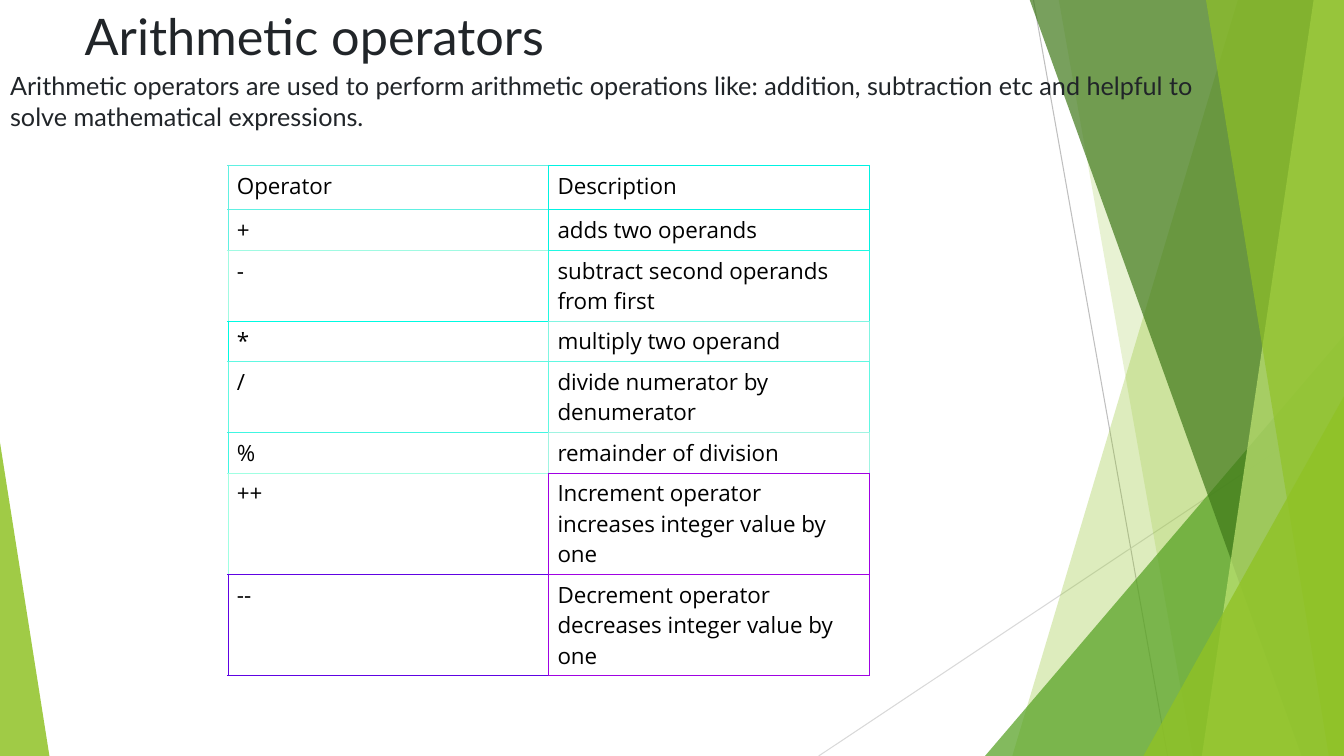
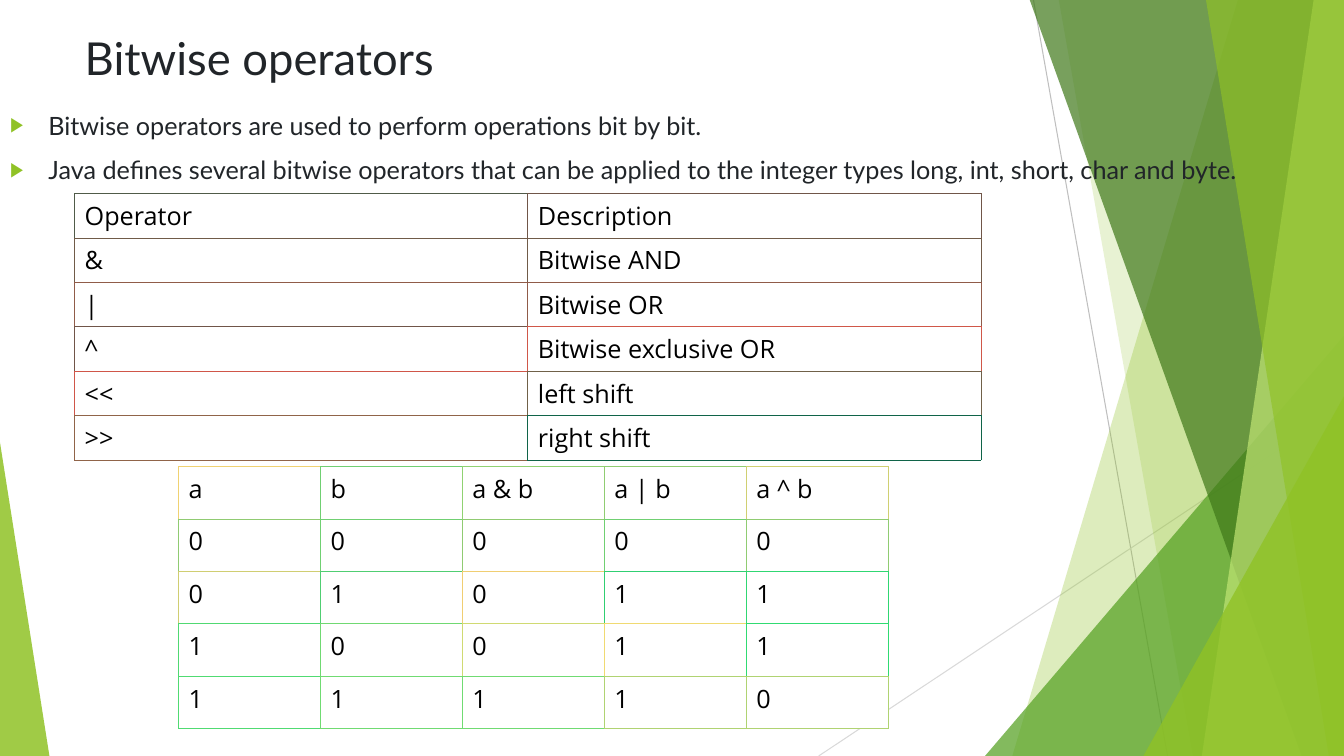
from lxml import etree
from pptx import Presentation
from pptx.dml.color import RGBColor
from pptx.enum.shapes import MSO_CONNECTOR as CONN, MSO_SHAPE as SHAPE
from pptx.enum.text import MSO_ANCHOR, MSO_AUTO_SIZE, PP_ALIGN
from pptx.oxml.ns import qn
from pptx.util import Inches, Pt

W, H = 13.33, 7.5
LIME = RGBColor(0x90, 0xC2, 0x26)
GREEN = RGBColor(0x54, 0xA0, 0x21)
FOREST = RGBColor(0x3F, 0x78, 0x19)
PALE = RGBColor(0xC0, 0xE4, 0x74)
SILVER = RGBColor(0xBF, 0xBF, 0xBF)
MIST = RGBColor(0xD9, 0xD9, 0xD9)
INK = RGBColor(0x21, 0x25, 0x29)
BLACK = RGBColor(0, 0, 0)
WHITE = RGBColor(0xFF, 0xFF, 0xFF)
TEXT_FONT, TABLE_FONT = "Lato", "Open Sans"


def sub(parent, tag, **attrs):
    el = etree.SubElement(parent, qn(tag))
    for name, value in attrs.items():
        el.set(name, str(value))
    return el


def style_runs(p, font, size, color):
    for r in p.runs:
        r.font.name, r.font.size, r.font.color.rgb = font, Pt(size), color


def place(sp, box):
    sp.left, sp.top, sp.width, sp.height = map(Inches, box)


# Facet decoration, shared by all slides through the master
def paint(sp, color, opacity):
    sp.shadow.inherit = False
    sp.line.fill.background()
    sp.fill.solid()
    sp.fill.fore_color.rgb = color
    clr = sp.element.spPr.find(qn("a:solidFill"))[0]
    sub(clr, "a:alpha", val=opacity * 1000)


def add_line(shapes, start, end, color):
    line = shapes.add_connector(CONN.STRAIGHT, *map(Inches, start + end))
    line.line.color.rgb, line.line.width = color, Pt(0.75)
    sub(line.element.spPr, "a:effectLst")


def add_band(shapes, top_x, bottom_x, color, opacity):
    """Band from a slanted left edge to the right edge of the slide."""
    corners = [(top_x, -0.01), (W, -0.01), (W, H), (bottom_x, H)]
    points = [(Inches(x), Inches(y)) for x, y in corners]
    builder = shapes.build_freeform(*points[0], scale=1.0)
    builder.add_line_segments(points[1:], close=True)
    paint(builder.convert_to_shape(), color, opacity)


def add_corner(shapes, left, top, width, tip, color, opacity):
    """Right-angled triangle standing on the bottom edge."""
    sp = shapes.add_shape(SHAPE.ISOSCELES_TRIANGLE,
                          *map(Inches, (left, top, width, H - top)))
    sp.adjustments[0] = tip
    paint(sp, color, opacity)


def decorate_master(prs, s):
    group = s.shapes.add_group_shape()
    shapes = group.shapes
    add_line(shapes, (10.25, 0), (11.58, H), SILVER)
    add_line(shapes, (W, 4.03), (8.12, H), MIST)
    add_band(shapes, 12.28, 10.04, LIME, 30)
    add_band(shapes, 10.5, 11.83, LIME, 20)
    add_corner(shapes, 9.77, 3.33, W - 9.77, 1, GREEN, 72)
    add_band(shapes, 10.21, 12.91, FOREST, 70)
    add_band(shapes, 13.03, 11.92, PALE, 70)
    add_band(shapes, 11.96, 13.18, LIME, 65)
    add_corner(shapes, 11.34, 3.93, W - 11.34, 1, LIME, 80)
    add_corner(shapes, 0, 4.39, 0.49, 0, LIME, 85)
    for i, props in enumerate(group.element.iter(qn("p:cNvPr"))):
        props.set("id", str(100 + i))
    prs.slide_master.shapes.element.insert(2, group.element)


# Title and body
def add_title(s, text, box, size):
    sp = s.shapes.title
    place(sp, box)
    tf = sp.text_frame
    tf.text = text
    tf.vertical_anchor, tf.auto_size = MSO_ANCHOR.TOP, MSO_AUTO_SIZE.NONE
    p = tf.paragraphs[0]
    p.alignment = PP_ALIGN.LEFT
    style_runs(p, TEXT_FONT, size, INK)


def add_body(s, lines, box, bullets):
    sp = s.placeholders[1]
    place(sp, box)
    tf = sp.text_frame
    tf.text = "\n".join(lines)
    tf.auto_size = MSO_AUTO_SIZE.NONE
    indent = Inches(0.38) if bullets else 0
    for p in tf.paragraphs:
        p.space_before = Pt(10)
        style_runs(p, TEXT_FONT, 18, INK)
        pPr = p._p.get_or_add_pPr()
        pPr.set("marL", str(indent))
        pPr.set("indent", str(-indent))
        if bullets:
            sub(sub(pPr, "a:buClr"), "a:srgbClr", val=LIME)
            sub(pPr, "a:buSzPct", val=80000)
            sub(pPr, "a:buChar", char="▶")
        else:
            sub(pPr, "a:buNone")


# Tables
def set_borders(cell, **colors):
    tcPr = cell._tc.get_or_add_tcPr()
    for side, color in colors.items():
        ln = sub(tcPr, "a:ln" + side, w=Pt(0.6))
        sub(sub(ln, "a:solidFill"), "a:srgbClr", val=color)


def add_grid(s, box, rows, row_heights, accents, size, margin=0.1):
    """Each cell's accent draws its left and top edges; its right and bottom
    edges take the accents of the neighbouring cells."""
    n_rows, n_cols = len(rows), len(rows[0])
    accents = [line.split() for line in accents]
    frame = s.shapes.add_table(n_rows, n_cols, *map(Inches, box))
    table = frame.table
    table.first_row = table.horz_banding = False
    for i, row in enumerate(rows):
        table.rows[i].height = Inches(row_heights[i])
        for j, text in enumerate(row):
            cell = table.cell(i, j)
            own = accents[i][j]
            set_borders(cell, L=own, R=accents[i][min(j + 1, n_cols - 1)],
                        T=own, B=accents[min(i + 1, n_rows - 1)][j])
            cell.fill.solid()
            cell.fill.fore_color.rgb = WHITE
            cell.margin_left = cell.margin_right = Inches(margin)
            cell.text_frame.text = text
            style_runs(cell.text_frame.paragraphs[0], TABLE_FONT, size, BLACK)
    frame.height = Inches(box[3])


# Slides
def arithmetic_slide(s):
    add_title(s, "Arithmetic operators", (0.74, 0, 9.4, 0.89), 36)
    add_body(s, ["Arithmetic operators are used to perform arithmetic "
                 "operations like: addition, subtraction etc and helpful to "
                 "solve mathematical expressions."],
             (0, 0.65, 12.18, 6.93), bullets=False)
    rows = [("Operator", "Description"),
            ("+", "adds two operands"),
            ("-", "subtract second operands from first"),
            ("*", "multiply two operand"),
            ("/", "divide numerator by denumerator"),
            ("%", "remainder of division"),
            ("++", "Increment operator increases integer value by one"),
            ("--", "Decrement operator decreases integer value by one")]
    accents = ["60F0E2 00F2E2", "60F0E2 00F2E2", "A0FAE2 20F8E2",
               "00FAE2 80F5E2", "60F8E2 60F8E2", "40F6E2 A0F4E2",
               "A0FFE2 A000E3", "6003E3 A002E3"]
    heights = [0.44, 0.26, 0.45, 0.26, 0.45, 0.26, 0.45, 0.64]
    add_grid(s, (2.26, 1.64, 6.36, 4.27), rows, heights, accents, 16, 0.09)


def bitwise_slide(s):
    add_title(s, "Bitwise operators", (0.74, 0.25, 9.4, 0.99), 32.4)
    add_body(s, ["Bitwise operators are used to perform operations bit by bit.",
                 "Java defines several bitwise operators that can be applied "
                 "to the integer types long, int, short, char and byte."],
             (0, 1.04, 13.23, 6.21), bullets=True)
    operators = [("Operator", "Description"),
                 ("&", "Bitwise AND"),
                 ("|", "Bitwise OR"),
                 ("^", "Bitwise exclusive OR"),
                 ("<<", "left shift"),
                 (">>", "right shift")]
    accents = ["505B49 705649", "705B49 705B49", "905C49 905B49",
               "705549 D05749", "D05649 706149", "906449 106449"]
    add_grid(s, (0.74, 1.92, 8.99, 2.4), operators, [0.24] * 6, accents, 18)

    truth = [("a", "b", "a & b", "a | b", "a ^ b")]
    truth += [tuple(map(str, (a, b, a & b, a | b, a ^ b)))
              for a in (0, 1) for b in (0, 1)]
    accents = ["F0D272 70CF72 90D272 90CD72 D0D072",
               "90CB72 70D072 90CB72 70D072 90CC72",
               "D0CE72 50CE72 F0CE72 30CF72 30D772",
               "50D972 70D972 D0DA72 F0DA72 30DB72",
               "50DB72 70DB72 70DB72 B0D372 B0D372"]
    add_grid(s, (1.77, 4.63, 7.04, 2.62), truth, [0.52] * 5, accents, 18)


prs = Presentation()
prs.slide_width, prs.slide_height = Inches(W), Inches(H)
layout = prs.slide_layouts[1]
slides = [prs.slides.add_slide(layout) for _ in range(2)]
decorate_master(prs, slides[0])
arithmetic_slide(slides[0])
bitwise_slide(slides[1])
prs.save("out.pptx")
